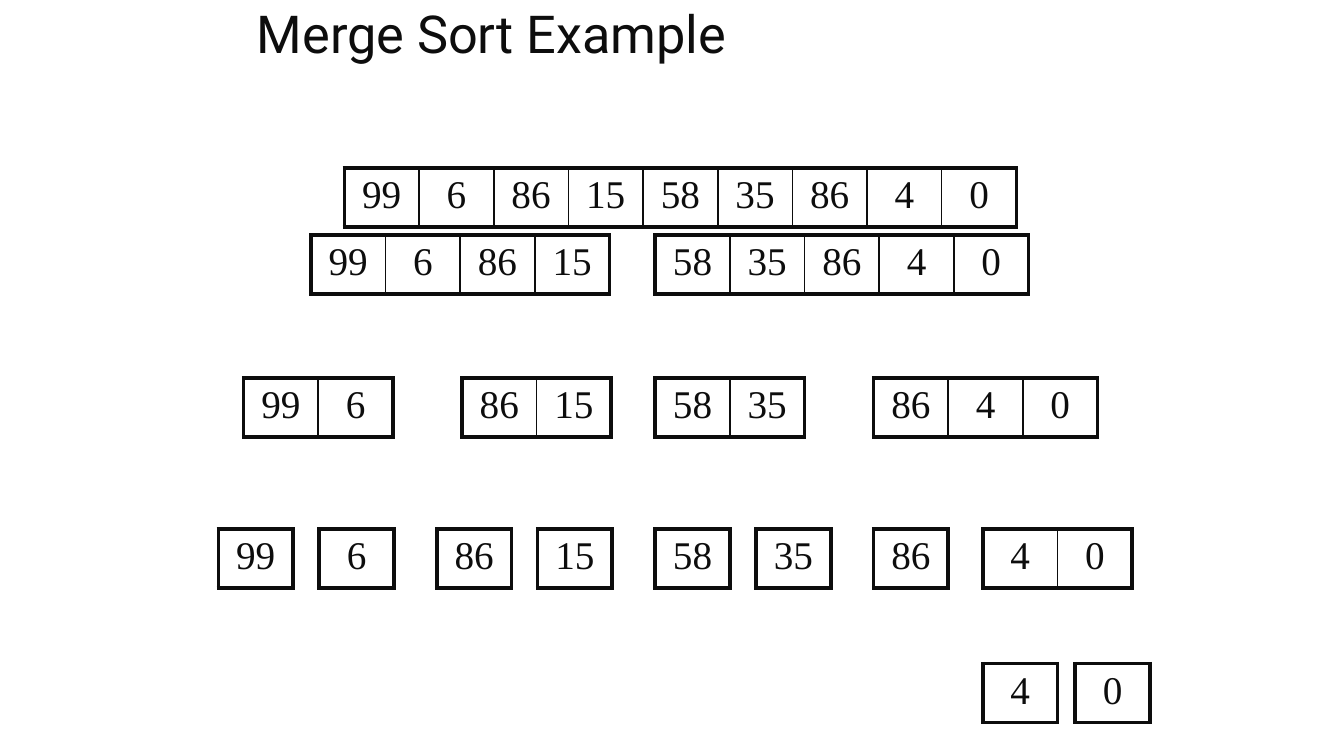
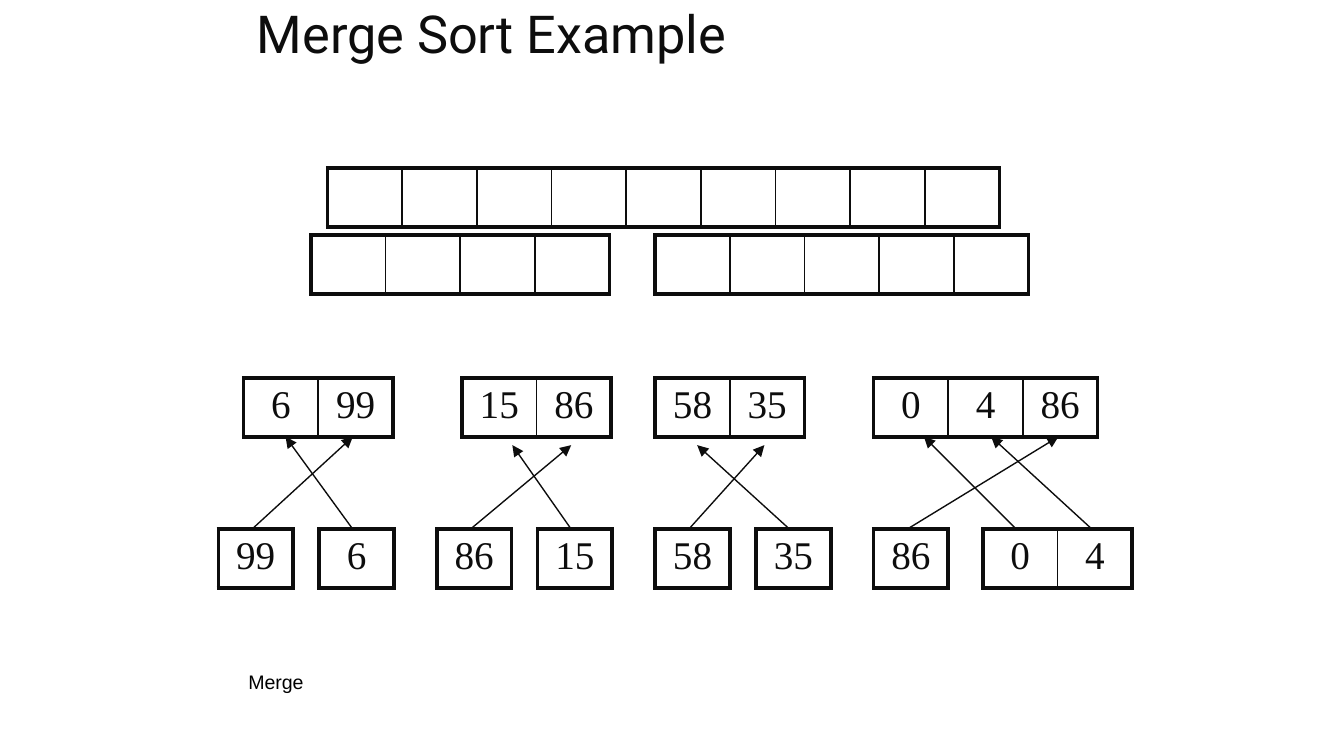
import pptx
import pptx.dml.color
import pptx.enum.shapes
import pptx.enum.text
import pptx.oxml.ns
import pptx.util
from lxml import etree

Pt = pptx.util.Pt
qn = pptx.oxml.ns.qn

INK = pptx.dml.color.RGBColor(0x0D, 0x0D, 0x0D)
BLACK = pptx.dml.color.RGBColor(0x00, 0x00, 0x00)

TITLE = {"name": "Roboto", "size": Pt(28)}
NUMBER = {"name": "Times New Roman", "size": Pt(21)}
NOTE = {"name": "Arial", "size": Pt(10.5)}

CELL_W, CELL_H = 40, 31.5
OUTER, INNER = 2.25, 1
TOP, HALVES, QUARTERS, SINGLES, LAST = 90, 126, 202.5, 283.5, 355.5

HALF_X = (166.5, 351)
QUARTER_X = (130.5, 247.5, 351, 468)
SINGLE_X = (117, 171, 234, 288, 351, 405, 468, 526.5)
LAST_X = (526.5, 576)

SPLIT = [
    (TOP, (184.5,), [[99, 6, 86, 15, 58, 35, 86, 4, 0]]),
    (HALVES, HALF_X, [[99, 6, 86, 15], [58, 35, 86, 4, 0]]),
    (QUARTERS, QUARTER_X, [[99, 6], [86, 15], [58, 35], [86, 4, 0]]),
    (SINGLES, SINGLE_X, [[99], [6], [86], [15], [58], [35], [86], [4, 0]]),
    (LAST, LAST_X, [[4], [0]]),
]
MERGE = [
    (TOP, (175.5,), [[""] * 9]),
    (HALVES, HALF_X, [[""] * 4, [""] * 5]),
    (QUARTERS, QUARTER_X, [[6, 99], [15, 86], [58, 35], [0, 4, 86]]),
    (SINGLES, SINGLE_X, [[99], [6], [86], [15], [58], [35], [86], [0, 4]]),
]
TOUCHING, SHORT = 234, 238.5
MOVES = [
    (585, 531, TOUCHING), (486, 567, TOUCHING), (544.5, 495, TOUCHING),
    (423, 373.5, SHORT), (369, 409.5, SHORT),
    (306, 274.5, SHORT), (252, 306, SHORT),
    (189, 153, TOUCHING), (135, 189, TOUCHING),
]


class Deck:
    def __init__(self):
        self.prs = pptx.Presentation()
        self.prs.slide_width, self.prs.slide_height = Pt(720), Pt(405)
        self.s = None

    def slide(self, title):
        self.s = self.prs.slides.add_slide(self.prs.slide_layouts[6])
        p = self.text(title, 130.5, 0, 459, 54, TITLE, INK, 7.2)
        p.line_spacing = 0.8

    def run(self, p, text, style, color):
        r = p.add_run()
        r.text = str(text)
        for key, value in style.items():
            setattr(r.font, key, value)
        r.font.color.rgb = color

    def text(self, text, x, y, w, h, style, color, inset_y=3.6):
        sp = self.s.shapes.add_textbox(Pt(x), Pt(y), Pt(w), Pt(h))
        tf = sp.text_frame
        frame = {"word_wrap": True, "margin_top": Pt(inset_y), "margin_bottom": Pt(inset_y)}
        for key, value in frame.items():
            setattr(tf, key, value)
        self.run(tf.paragraphs[0], text, style, color)
        return tf.paragraphs[0]

    def border(self, cell, side, width):
        tcPr = cell._tc.get_or_add_tcPr()
        ln = etree.SubElement(tcPr, qn(f"a:ln{side}"), w=str(Pt(width)))
        fill = etree.SubElement(ln, qn("a:solidFill"))
        etree.SubElement(fill, qn("a:srgbClr"), val=str(INK))

    def array(self, x, y, values):
        n = len(values)
        table = self.s.shapes.add_table(
            1, n, Pt(x), Pt(y), Pt(n * CELL_W), Pt(CELL_H)).table
        table.first_row = table.horz_banding = False
        margins = {"margin_left": Pt(5), "margin_right": Pt(5),
                   "margin_top": Pt(3), "margin_bottom": Pt(3)}
        for i, value in enumerate(values):
            cell = table.cell(0, i)
            for key, margin in margins.items():
                setattr(cell, key, margin)
            self.border(cell, "L", OUTER if i == 0 else INNER)
            self.border(cell, "R", OUTER if i == n - 1 else INNER)
            self.border(cell, "T", OUTER)
            self.border(cell, "B", OUTER)
            cell.fill.background()
            if value != "":
                p = cell.text_frame.paragraphs[0]
                p.alignment = pptx.enum.text.PP_ALIGN.CENTER
                self.run(p, value, NUMBER, INK)

    def levels(self, levels):
        for y, lefts, arrays in levels:
            for x, values in zip(lefts, arrays):
                self.array(x, y, values)

    def arrow(self, x1, y1, x2, y2):
        c = self.s.shapes.add_connector(
            pptx.enum.shapes.MSO_CONNECTOR.STRAIGHT, Pt(x1), Pt(y1), Pt(x2), Pt(y2))
        c.line.color.rgb = INK
        c.line.width = Pt(0.75)
        spPr = c._element.spPr
        etree.SubElement(spPr.find(qn("a:ln")), qn("a:tailEnd"), type="triangle")
        etree.SubElement(spPr, qn("a:effectLst"))


def main():
    deck = Deck()
    deck.slide("Merge Sort Example")
    deck.levels(SPLIT)

    deck.slide("Merge Sort Example")
    deck.levels(MERGE)
    deck.text("Merge", 126, LAST, 274.5, 20, NOTE, BLACK)
    for x1, x2, y2 in MOVES:
        deck.arrow(x1, SINGLES, x2, y2)
    deck.prs.save("out.pptx")


if __name__ == "__main__":
    main()
